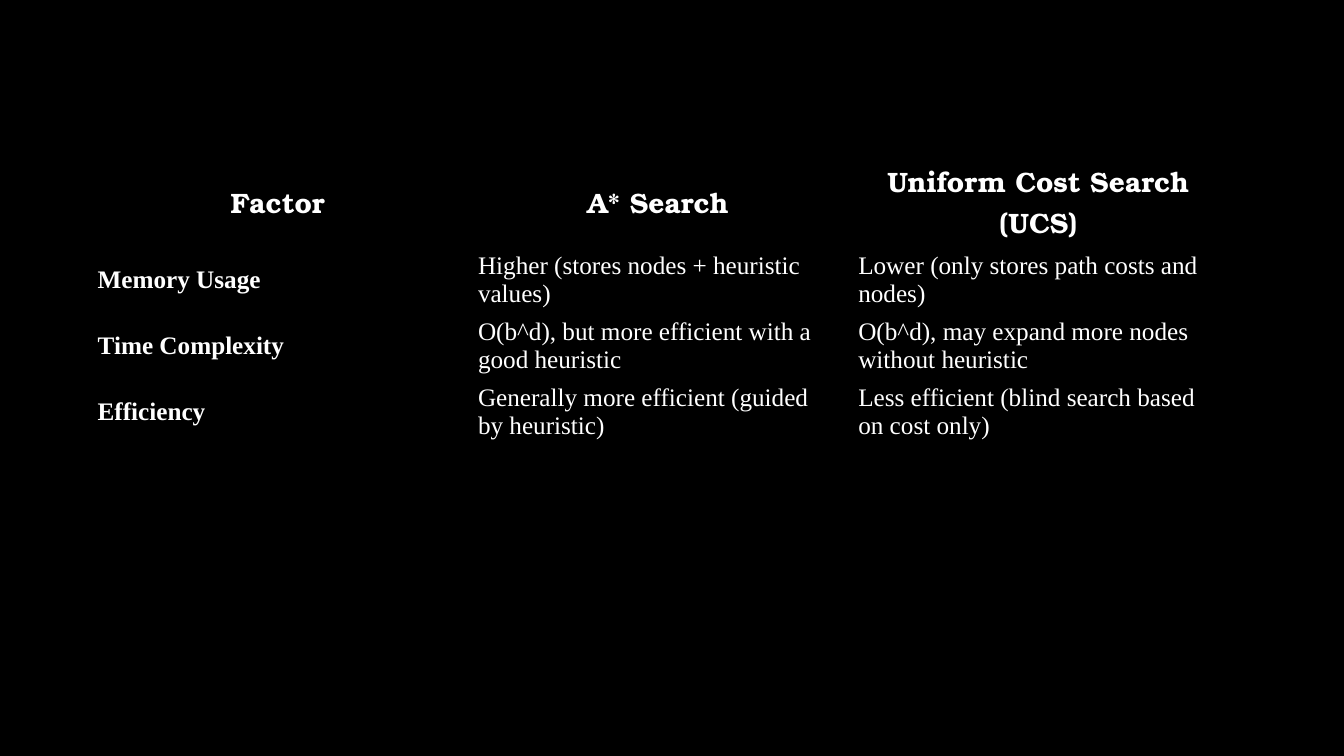
from pptx import Presentation
from pptx.dml.color import RGBColor
from pptx.enum.text import MSO_ANCHOR, PP_ALIGN
from pptx.oxml.ns import qn
from pptx.util import Pt

CENTER, LEFT = PP_ALIGN.CENTER, PP_ALIGN.LEFT
MIDDLE = MSO_ANCHOR.MIDDLE
BLANK_LAYOUT = 6
PLAIN_STYLE = "{2D5ABB26-0587-4C30-8999-92F81FD0307C}"
COLORS = {"background": "000000", "text": "FFFFFF"}
HEADER_FONT, BODY_FONT = "TeX Gyre Bonum", "Times New Roman"
HEADER_HEIGHT = 65.5

COMPARISON = [
    ["Factor", "A* Search", "Uniform Cost Search (UCS)"],
    ["Memory Usage", "Higher (stores nodes + heuristic values)",
     "Lower (only stores path costs and nodes)"],
    ["Time Complexity", "O(b^d), but more efficient with a good heuristic",
     "O(b^d), may expand more nodes without heuristic"],
    ["Efficiency", "Generally more efficient (guided by heuristic)",
     "Less efficient (blind search based on cost only)"],
]


def fill_cell(cell, text, is_header, is_label):
    cell.fill.background()
    cell.vertical_anchor = MIDDLE
    p = cell.text_frame.paragraphs[0]
    p.alignment = CENTER if is_header else LEFT
    r = p.add_run()
    r.text = text
    r.font.name = HEADER_FONT if is_header else BODY_FONT
    r.font.size = Pt(20 if is_header else 18)
    r.font.bold = is_header or is_label
    r.font.color.rgb = RGBColor.from_string(COLORS["text"])


def add_comparison_table(s, left, top, width, height):
    rows, cols = len(COMPARISON), len(COMPARISON[0])
    frame = s.shapes.add_table(rows, cols, Pt(left), Pt(top), Pt(width), Pt(height))
    table = frame.table

    # Plain style without bands or borders
    table.first_row = False
    table.horz_banding = False
    frame._element.find(".//" + qn("a:tableStyleId")).text = PLAIN_STYLE

    # Equal columns, and equal rows below the header
    for column in table.columns:
        column.width = Pt(width / cols)
    for i, row in enumerate(table.rows):
        row.height = Pt(HEADER_HEIGHT if i == 0 else (height - HEADER_HEIGHT) / (rows - 1))

    # Cell text
    for i, texts in enumerate(COMPARISON):
        for j, text in enumerate(texts):
            fill_cell(table.cell(i, j), text, i == 0, j == 0)


def main():
    prs = Presentation()
    prs.slide_width, prs.slide_height = Pt(960), Pt(540)
    s = prs.slides.add_slide(prs.slide_layouts[BLANK_LAYOUT])
    s.background.fill.solid()
    s.background.fill.fore_color.rgb = RGBColor.from_string(COLORS["background"])
    add_comparison_table(s, 62.6, 110.9, 815, 206.5)
    prs.save("out.pptx")


if __name__ == "__main__":
    main()
